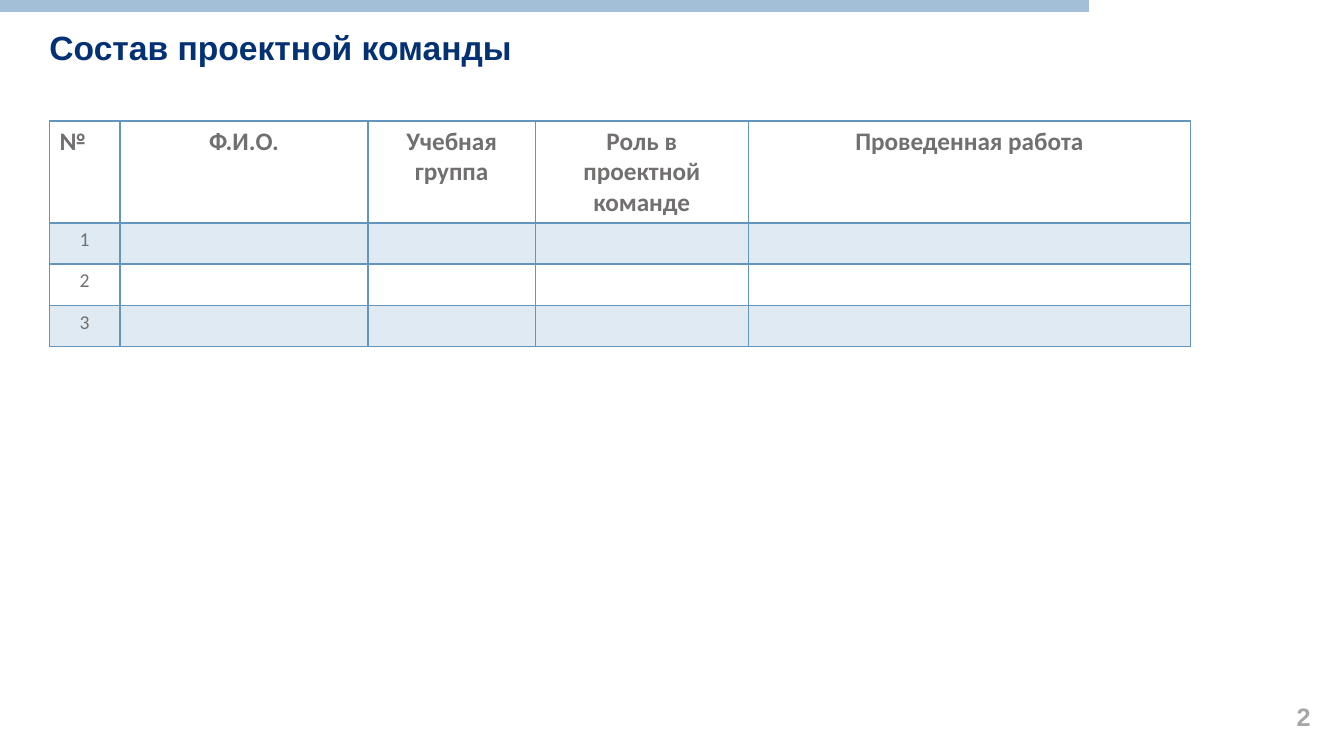
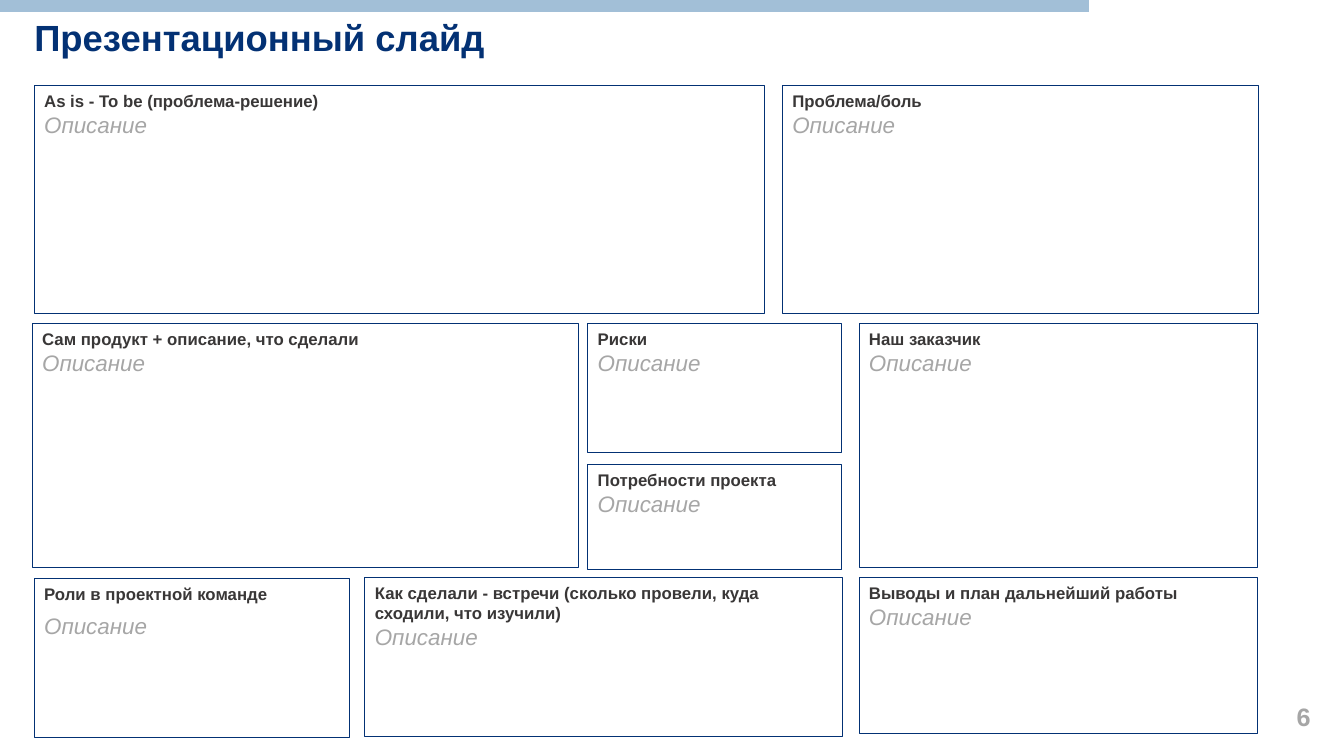
from pptx import Presentation
from pptx.dml.color import RGBColor
from pptx.enum.shapes import MSO_CONNECTOR, MSO_SHAPE
from pptx.enum.text import MSO_ANCHOR, MSO_AUTO_SIZE, PP_ALIGN
from pptx.oxml.ns import qn
from pptx.util import Pt
from lxml.etree import SubElement

PX = 9144  # EMU in one px, 100 px to the inch
HUES = {
    "navy": "033174", "band": "A2BFD7", "steel": "6495BC", "stripe": "E0EAF2",
    "text": "726F6F", "head": "393737", "hint": "A6A6A6",
}
FONTS = {
    "title": {"name": "Arial", "size": Pt(24), "bold": True, "hue": "navy"},
    "page": {"name": "Arial", "size": Pt(18), "bold": True, "hue": "hint"},
    "head": {"name": "Arial", "size": Pt(12), "bold": True, "hue": "head"},
    "hint": {"name": "Arial", "size": Pt(16), "italic": True, "bold": False, "hue": "hint"},
    "top": {"name": "Calibri", "size": Pt(18), "bold": True, "hue": "text"},
    "cell": {"name": "Calibri", "size": Pt(14), "bold": False, "hue": "text"},
}


def px(*nums):
    return [num * PX for num in nums]


def color(hue):
    return RGBColor.from_string(HUES[hue])


class Deck:
    def __init__(self):
        self.show = Presentation()
        self.show.slide_width, self.show.slide_height = px(1333, 750)
        self.slide = None

    def words(self, para, text, kind, align=PP_ALIGN.LEFT, **extra):
        para.alignment = align
        run = para.add_run()
        run.text = text
        for name, value in {**FONTS[kind], **extra}.items():
            if name == "hue":
                run.font.color.rgb = color(value)
            else:
                setattr(run.font, name, value)

    def page(self, title, left, top, size, number):
        """Start a slide with its title, number and top band."""
        self.slide = self.show.slides.add_slide(self.show.slide_layouts[5])
        shape = self.slide.shapes.title
        shape.left, shape.top, shape.width, shape.height = px(left, top, 1133, 85)
        frame = shape.text_frame
        style = {
            "margin_left": 0, "margin_top": 0, "margin_right": 0, "margin_bottom": 0,
            "vertical_anchor": MSO_ANCHOR.MIDDLE, "word_wrap": True,
            "auto_size": MSO_AUTO_SIZE.NONE,
        }
        for name, value in style.items():
            setattr(frame, name, value)
        frame.paragraphs[0].line_spacing = 0.9
        self.words(frame.paragraphs[0], title, "title", size=Pt(size))
        self.label(number)
        self.band()

    def label(self, number):
        frame = self.slide.shapes.add_textbox(*px(1264, 684, 58, 53)).text_frame
        frame.word_wrap = True
        frame.vertical_anchor = MSO_ANCHOR.MIDDLE
        self.words(frame.paragraphs[0], number, "page", PP_ALIGN.CENTER)

    def band(self):
        line = self.slide.shapes.add_connector(MSO_CONNECTOR.STRAIGHT, *px(0, 6, 1080, 6))
        line.line.color.rgb = color("band")
        line.line.width = Pt(9)
        SubElement(line._element.spPr, qn("a:effectLst"))

    def box(self, left, top, width, height, head, gap=0):
        shape = self.slide.shapes.add_shape(
            MSO_SHAPE.RECTANGLE, *px(left, top, width, height))
        shape.shadow.inherit = False
        shape.fill.background()
        shape.line.color.rgb = color("navy")
        shape.line.width = Pt(0.75)
        frame = shape.text_frame
        frame.word_wrap = True
        frame.vertical_anchor = MSO_ANCHOR.TOP
        self.words(frame.paragraphs[0], head, "head")
        para = frame.add_paragraph()
        para.space_before = para.space_after = Pt(gap)
        self.words(para, "Описание", "hint")

    def edge(self, cell, side, width):
        line = SubElement(cell._tc.get_or_add_tcPr(), qn("a:ln" + side), w=str(Pt(width)))
        fill = SubElement(line, qn("a:solidFill"))
        SubElement(fill, qn("a:srgbClr"), val=HUES["steel"])

    def table(self, left, top, cols, rows, data):
        frame = self.slide.shapes.add_table(
            len(rows), len(cols), *px(left, top, sum(cols), sum(rows)))
        grid = frame.table
        grid.horz_banding = grid.first_row = False
        for col, width in zip(grid.columns, cols):
            col.width = width * PX
        for y, (row, height) in enumerate(zip(grid.rows, rows)):
            row.height = height * PX
            for x, cell in enumerate(row.cells):
                # The rule under the header is twice as thick
                for side in "LRTB":
                    thick = (y, side) in ((0, "B"), (1, "T"))
                    self.edge(cell, side, 2 if thick else 1)
                if y % 2:
                    cell.fill.solid()
                    cell.fill.fore_color.rgb = color("stripe")
                else:
                    cell.fill.background()
                if x < len(data[y]):
                    align = PP_ALIGN.CENTER if x or y else PP_ALIGN.LEFT
                    self.words(cell.text_frame.paragraphs[0], data[y][x],
                               "cell" if y else "top", align)


def main():
    deck = Deck()

    # Team table
    deck.page("Состав проектной команды", 49, 7, 24, "2")
    heads = ["№", "Ф.И.О.", "Учебная группа", "Роль в проектной команде",
             "Проведенная работа"]
    deck.table(49, 120, [70, 246, 166, 211, 439], [101, 41, 41, 41],
               [heads, ["1"], ["2"], ["3"]])

    # Project canvas
    deck.page("Презентационный слайд", 34, -3, 26, "6")
    boxes = [
        (34, 85, 724, 226, "As is - To be (проблема-решение)"),
        (776, 85, 472, 226, "Проблема/боль"),
        (32, 321, 542, 242, "Сам продукт + описание, что сделали"),
        (583, 321, 252, 128, "Риски"),
        (583, 461, 252, 104, "Потребности проекта"),
        (852, 321, 395, 242, "Наш заказчик"),
        (34, 574, 313, 158, "Роли в проектной команде", 6),
        (362, 573, 474, 158,
         "Как сделали - встречи (сколько провели, куда сходили, что изучили)"),
        (852, 573, 395, 155, "Выводы и план дальнейший работы"),
    ]
    for box in boxes:
        deck.box(*box)

    deck.show.save("out.pptx")


if __name__ == "__main__":
    main()
